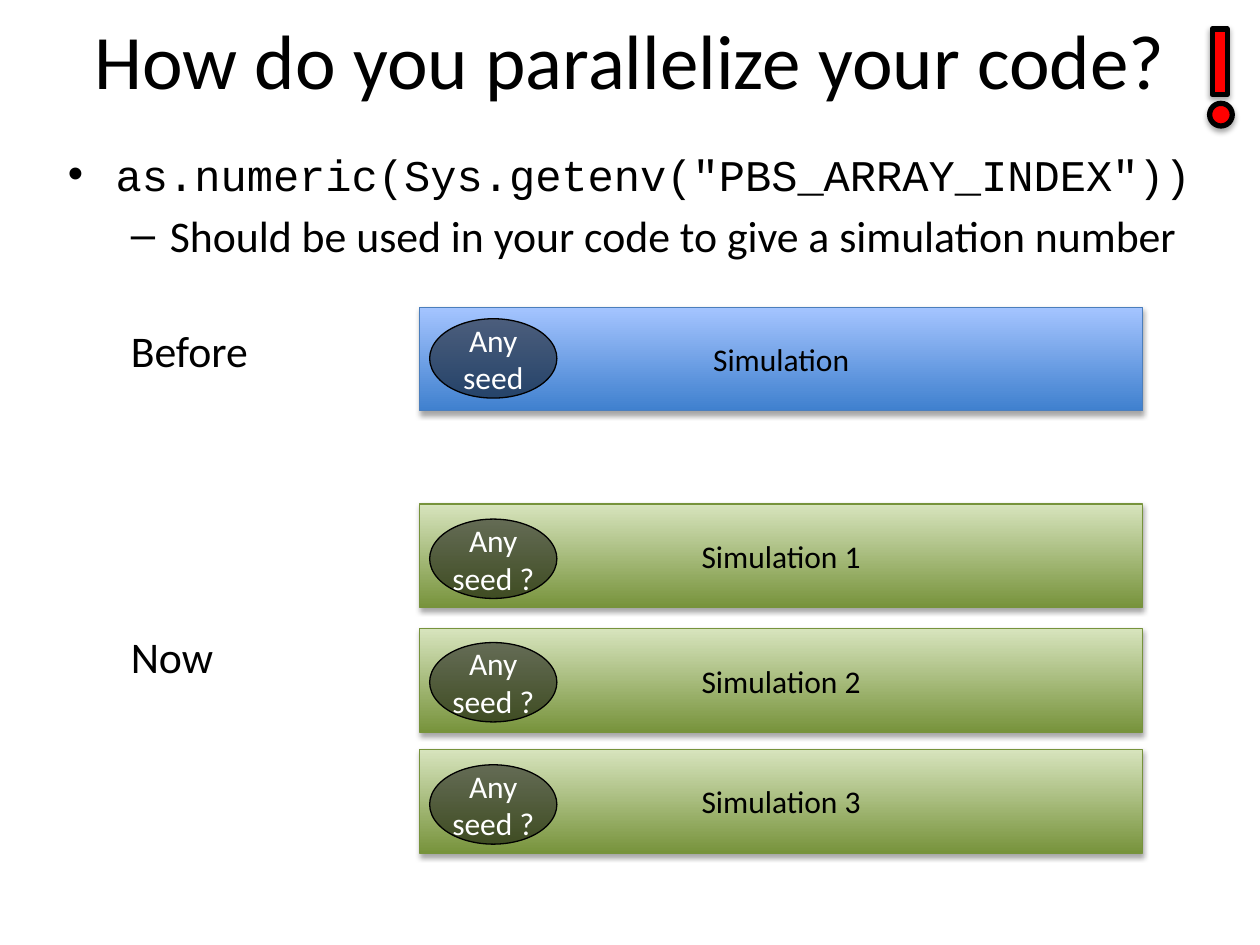
"""Build the slide on running simulations in parallel with array indices."""
from lxml.etree import SubElement
from pptx import Presentation
from pptx.dml.color import RGBColor
from pptx.enum.shapes import MSO_SHAPE as Preset
from pptx.enum.text import MSO_ANCHOR as Anchor, PP_ALIGN as Align
from pptx.oxml.ns import qn
from pptx.util import Inches, Pt


def write(para, text, size, color="000000", font="Calibri"):
    span = para.add_run()
    span.text = text
    span.font.size = Pt(size)
    span.font.name = font
    span.font.color.rgb = RGBColor.from_string(color)


def add_figure(parent, preset, place, colors, line, width, shadow=True):
    figure = parent.add_shape(preset, *map(Inches, place))
    if len(colors) == 2:
        figure.fill.gradient()
        figure.fill.gradient_angle = 90
        for stop, color, position in zip(figure.fill.gradient_stops, colors, (0, 1)):
            stop.color.rgb = RGBColor.from_string(color)
            stop.position = position
    else:
        figure.fill.solid()
        figure.fill.fore_color.rgb = RGBColor.from_string(colors[0])
    figure.line.color.rgb = RGBColor.from_string(line)
    figure.line.width = Pt(width)
    figure.shadow.inherit = False
    if shadow:
        effects = figure._element.spPr.find(qn("a:effectLst"))
        outer = SubElement(effects, qn("a:outerShdw"), blurRad="40000", dist="23000",
                           dir="5400000", rotWithShape="0")
        tone = SubElement(outer, qn("a:srgbClr"), val="000000")
        SubElement(tone, qn("a:alpha"), val="35000")
    return figure


deck = Presentation()
deck.slide_width, deck.slide_height = Inches(10), Inches(7.5)
page = deck.slides.add_slide(deck.slide_layouts[6])

title = page.shapes.add_textbox(Inches(0), Inches(-0.16), Inches(10), Inches(1.25))
title.text_frame.word_wrap = True
title.text_frame.vertical_anchor = Anchor.MIDDLE
title.text_frame.paragraphs[0].alignment = Align.CENTER
write(title.text_frame.paragraphs[0], "How do you parallelize your code?", 44)

body = page.shapes.add_textbox(Inches(0.44), Inches(1.12), Inches(9.56), Inches(1))
body.text_frame.word_wrap = True
points = [
    ("•", 'as.numeric(Sys.getenv("PBS_ARRAY_INDEX"))', "Courier New", 0, 0.38, 0.38),
    ("–", "Should be used in your code to give a simulation number", "Calibri", 1, 0.81, 0.31),
]
for bullet, text, font, level, margin, hang in points:
    para = body.text_frame.add_paragraph() if level else body.text_frame.paragraphs[0]
    para.level = level
    para.space_before = Pt(5 * level)
    props = para._p.get_or_add_pPr()
    props.set("marL", str(Inches(margin)))
    props.set("indent", str(-Inches(hang)))
    SubElement(props, qn("a:buFont"), typeface="Arial")
    SubElement(props, qn("a:buChar"), char=bullet)
    write(para, text, 25, font=font)

for label, top in (("Before", 2.52), ("Now", 4.95)):
    box = page.shapes.add_textbox(Inches(0.94), Inches(top), Inches(2), Inches(0.52))
    box.text_frame.word_wrap = True
    write(box.text_frame.paragraphs[0], label, 25)

blue, green = ("3F80CE", "A4C4FF"), ("77933C", "D7E4BD")
simulations = [
    ("Simulation", 2.44, "Any seed", 2.53, blue, "4B7EBC"),
    ("Simulation 1", 4, "Any seed ?", 4.12, green, "77933C"),
    ("Simulation 2", 4.99, "Any seed ?", 5.1, green, "77933C"),
    ("Simulation 3", 5.95, "Any seed ?", 6.07, green, "77933C"),
]
for name, bar_top, seed, seed_top, colors, outline in simulations:
    bar = add_figure(page.shapes, Preset.RECTANGLE, (3.33, bar_top, 5.74, 0.82),
                     colors, outline, 0.75)
    oval = add_figure(page.shapes, Preset.OVAL, (3.41, seed_top, 1.01, 0.63),
                      ("000000",), "000000", 0.75, shadow=False)
    tone = oval._element.spPr.find(qn("a:solidFill")).find(qn("a:srgbClr"))
    SubElement(tone, qn("a:alpha"), val="50000")
    oval.text_frame.margin_left = oval.text_frame.margin_right = 0
    for figure, text, color in ((bar, name, "000000"), (oval, seed, "FFFFFF")):
        figure.text_frame.word_wrap = True
        figure.text_frame.vertical_anchor = Anchor.MIDDLE
        figure.text_frame.paragraphs[0].alignment = Align.CENTER
        write(figure.text_frame.paragraphs[0], text, 18, color)

exclamation = page.shapes.add_group_shape()
for preset, place in ((Preset.OVAL, (9.6, 0.82, 0.18, 0.18)),
                      (Preset.RECTANGLE, (9.62, 0.23, 0.12, 0.52))):
    add_figure(exclamation.shapes, preset, place, ("FF0000",), "000000", 3)

deck.save("out.pptx")
